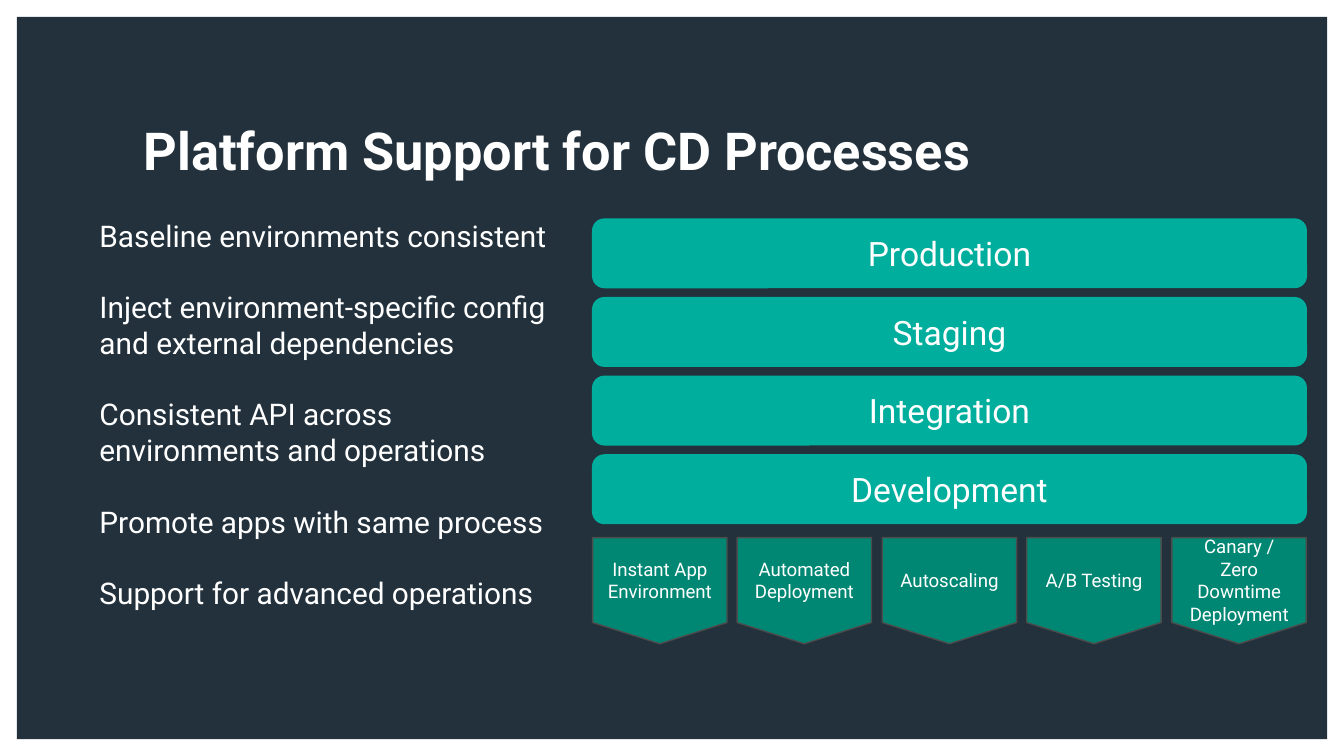
from pptx import Presentation
from pptx.dml.color import RGBColor
from pptx.enum.shapes import MSO_SHAPE
from pptx.enum.text import MSO_ANCHOR, MSO_AUTO_SIZE, PP_ALIGN
from pptx.util import Emu, Pt

RECTANGLE = MSO_SHAPE.RECTANGLE
ROUNDED = MSO_SHAPE.ROUNDED_RECTANGLE
PENNANT = MSO_SHAPE.FLOWCHART_OFFPAGE_CONNECTOR
TOP, MIDDLE = MSO_ANCHOR.TOP, MSO_ANCHOR.MIDDLE
LEFT, CENTER = PP_ALIGN.LEFT, PP_ALIGN.CENTER
NO_FIT = MSO_AUTO_SIZE.NONE

PX = 4572  # EMU per px, 200 px to the inch
TEXT_INSET = 20

WHITE = "FFFFFF"
NAVY = "22313C"
TEAL = "00AE9E"
DARK_TEAL = "008774"
GREY = "4C4C4C"

POINTS = [
    "Baseline environments consistent",
    "Inject environment-specific config and external dependencies",
    "Consistent API across environments and operations",
    "Promote apps with same process",
    "Support for advanced operations",
]
STAGES = ["Production", "Staging", "Integration", "Development"]
OPERATIONS = [
    "Instant App Environment",
    "Automated Deployment",
    "Autoscaling",
    "A/B Testing",
    "Canary / Zero Downtime Deployment",
]


def px(length):
    return Emu(length * PX)


def color(value):
    return RGBColor.from_string(value)


def apply_format(target, values):
    for name, value in values.items():
        setattr(target, name, value)


class SlideBuilder:
    font = "Roboto"

    def __init__(self, deck):
        self.page = deck.slides.add_slide(deck.slide_layouts[5])

    def fill_text(self, box, lines, size, align=LEFT, anchor=TOP, bold=False,
                  gap=0, left_inset=TEXT_INSET):
        frame = box.text_frame
        apply_format(frame, {
            "word_wrap": True, "auto_size": NO_FIT, "vertical_anchor": anchor,
            "margin_left": px(left_inset), "margin_right": px(TEXT_INSET),
            "margin_top": px(TEXT_INSET), "margin_bottom": px(TEXT_INSET),
        })
        for index, line in enumerate(lines):
            para = frame.add_paragraph() if index else frame.paragraphs[0]
            apply_format(para, {"alignment": align,
                                "space_before": Pt(gap if index else 0)})
            span = para.add_run()
            span.text = line
            apply_format(span.font, {"name": self.font, "size": Pt(size), "bold": bold})
            span.font.color.rgb = color(WHITE)

    def title(self, text, left, top, width, height):
        box = self.page.shapes.title
        apply_format(box, {"left": px(left), "top": px(top),
                           "width": px(width), "height": px(height)})
        self.fill_text(box, [text], 28, anchor=MIDDLE, bold=True)

    def text(self, lines, left, top, width, height, **style):
        box = self.page.shapes.add_textbox(px(left), px(top), px(width), px(height))
        self.fill_text(box, lines, 16, **style)

    def shape(self, kind, left, top, width, height, fill, line=None):
        box = self.page.shapes.add_shape(kind, px(left), px(top), px(width), px(height))
        box.shadow.inherit = False
        box.fill.solid()
        box.fill.fore_color.rgb = color(fill)
        if line:
            box.line.color.rgb = color(line)
            box.line.width = Pt(0.75)
        else:
            box.line.fill.background()
        return box

    def backdrop(self, *place):
        panel = self.shape(RECTANGLE, *place, NAVY)
        self.page.shapes.title.element.addprevious(panel.element)

    def stage(self, text, *place):
        bar = self.shape(ROUNDED, *place, TEAL, TEAL)
        bar.adjustments[0] = 0.17
        self.fill_text(bar, [text], 18, CENTER, MIDDLE)

    def operation(self, text, *place):
        pennant = self.shape(PENNANT, *place, DARK_TEAL, GREY)
        self.fill_text(pennant, [text], 10, CENTER, MIDDLE)


def main():
    deck = Presentation()
    apply_format(deck, {"slide_width": px(2000), "slide_height": px(1125)})
    slide = SlideBuilder(deck)

    # Backdrop and title
    slide.backdrop(25, 25, 1950, 1075)
    slide.title("Platform Support for CD Processes", 194, 166, 1576, 114)

    # Points, one blank line's height apart
    slide.text(POINTS, 100, 304, 764, 670, gap=19, left_inset=48)

    # Stack of stages
    stack_left, stack_width = 882, 1062
    for row, name in enumerate(STAGES):
        slide.stage(name, stack_left, 326 + row * 117, stack_width, 102)

    # Row of operations, spread over the width of the stack
    width = 200
    reach = stack_width - width
    for column, name in enumerate(OPERATIONS):
        left = stack_left + column * reach // (len(OPERATIONS) - 1)
        slide.operation(name, left, 800, width, 158)

    deck.save("out.pptx")


if __name__ == "__main__":
    main()
